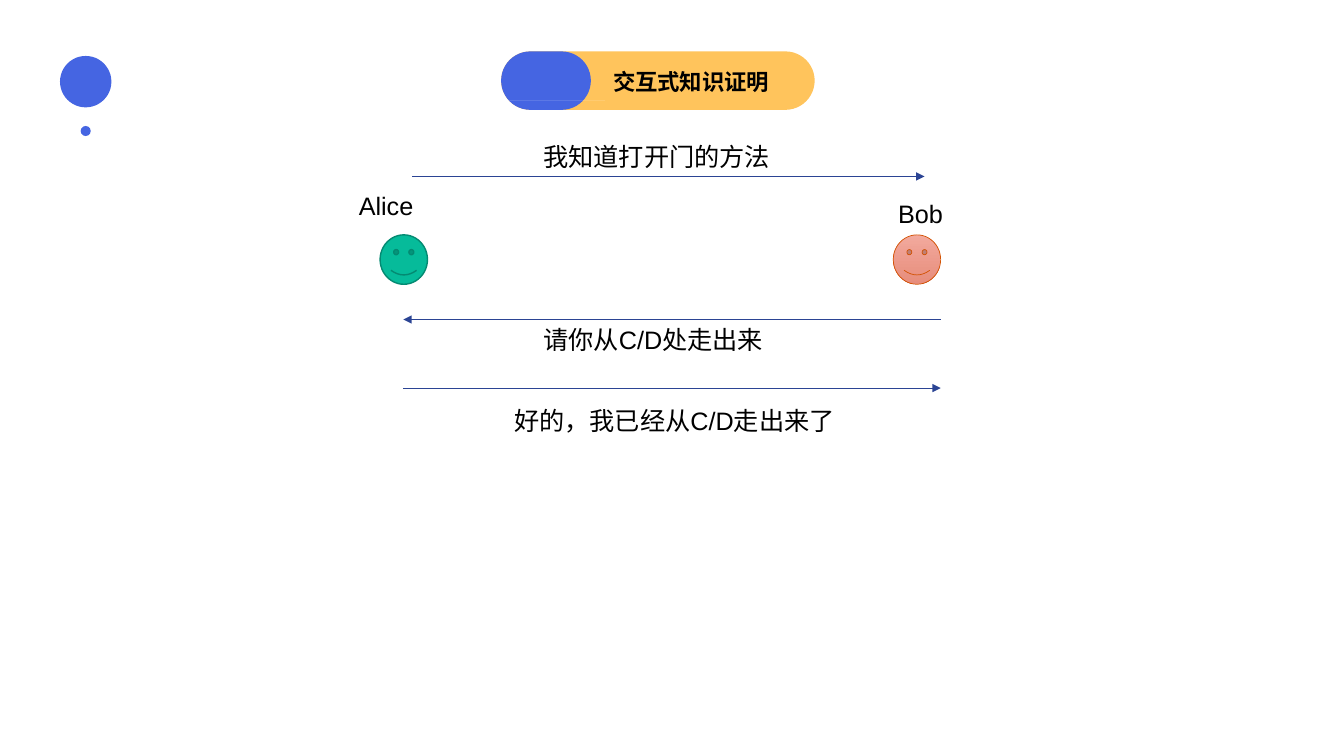
import math
from lxml import etree
from pptx import Presentation
from pptx import util as u
from pptx.dml import color
from pptx.enum import shapes, text
from pptx.oxml import ns

WIDTH, HEIGHT = 13.33, 7.5
COLORS = {
    "blue": "4565E2", "yellow": "FFC45C", "white": "FFFFFF", "ink": "000000",
    "arrow": "2B4494", "green": "06BB9A", "green_edge": "048A72",
    "pink_top": "F2A99D", "pink_bottom": "E78D7C", "orange_edge": "D35203",
}
LATIN, CHINESE = "Arial", "Noto Sans CJK SC"
TITLE = "交互式知识证明"
TITLE_BOX = (5.98, 0.62, 1.99, 0.37)
DOTS = [(0.85, 0.81, 0.51), (0.85, 1.3, 0.1)]
PILL = (4.97, 0.51, 3.11, 0.58)
PILL_CAP = 0.89
FACE_TOP, FACE_SIZE = 2.33, (0.47, 0.49)
PEOPLE = [
    {"name": "Alice", "label": (3.46, 1.84, 0.91), "face": 3.77,
     "fill": ["green"], "edge": "green_edge", "weight": 1},
    {"name": "Bob", "label": (8.81, 1.92, 0.73), "face": 8.86,
     "fill": ["pink_top", "pink_bottom"], "edge": "orange_edge", "weight": 0.5},
]
MESSAGES = [
    {"words": "我知道打开门的方法", "box": (5.29, 1.35, 2.85), "arrow": (4.09, 9.17, 1.75)},
    {"words": "请你从C/D处走出来", "box": (5.29, 3.17, 2.66), "arrow": (9.33, 4, 3.17)},
    {"words": "好的，我已经从C/D走出来了", "box": (5, 3.97, 3.44), "arrow": (4, 9.33, 3.85)},
]
LABEL_HEIGHT = 0.4
PHONE_PARTS = [
    [((5.29, 0.62, 5.51, 0.99), 0.04, 0.04),
     ((5.31, 0.63, 5.5, 0.68), 0.02, 0),
     ((5.31, 0.69, 5.5, 0.91), 0, 0),
     ((5.31, 0.93, 5.5, 0.97), 0, 0.02)],
    [((5.36, 0.66, 5.45, 0.67), 0, 0)],
    [((5.39, 0.93, 5.43, 0.97), 0.02, 0.02),
     ((5.4, 0.94, 5.42, 0.96), 0.01, 0.01)],
]

deck = Presentation()
deck.slide_width, deck.slide_height = u.Inches(WIDTH), u.Inches(HEIGHT)
page = deck.slides.add_slide(deck.slide_layouts[5])


def rgb(name):
    return color.RGBColor.from_string(COLORS[name])


def inches(*lengths):
    return [u.Inches(length) for length in lengths]


def paint(shape, fill, edge=None, weight=0):
    shape.shadow.inherit = False
    if len(fill) == 1:
        shape.fill.solid()
        shape.fill.fore_color.rgb = rgb(fill[0])
    else:
        shape.fill.gradient()
        shape.fill.gradient_angle = 270
        for stop, name in zip(shape.fill.gradient_stops, fill):
            stop.color.rgb = rgb(name)
    if edge:
        shape.line.color.rgb = rgb(edge)
        shape.line.width = u.Pt(weight)
    else:
        shape.line.fill.background()


def add_shape(kind, box, fill, edge=None, weight=0):
    shape = page.shapes.add_shape(kind, *inches(*box))
    paint(shape, fill, edge, weight)
    return shape


def write(box, words, align, **formats):
    frame = box.text_frame
    frame.word_wrap = True
    frame.auto_size = text.MSO_AUTO_SIZE.NONE
    para = frame.paragraphs[0]
    para.alignment = align
    span = para.add_run()
    span.text = words
    span.font.color.rgb = rgb("ink")
    for key, value in formats.items():
        setattr(span.font, key, value)
    east = etree.SubElement(span.font._element, ns.qn("a:ea"))
    east.set("typeface", CHINESE)


def add_label(left, top, width, words):
    box = page.shapes.add_textbox(*inches(left, top, width, LABEL_HEIGHT))
    write(box, words, text.PP_ALIGN.LEFT, size=u.Pt(18), name=LATIN)


def add_arrow(start, end, top):
    arrow = page.shapes.add_connector(
        shapes.MSO_CONNECTOR.STRAIGHT, *inches(start, top, end, top))
    arrow.line.color.rgb = rgb("arrow")
    arrow.line.width = u.Pt(0.5)
    tail = etree.SubElement(arrow.line._get_or_add_ln(), ns.qn("a:tailEnd"))
    tail.set("type", "triangle")
    etree.SubElement(arrow.element.spPr, ns.qn("a:effectLst"))


def rounded_outline(box, upper, lower):
    left, top, right, bottom = box
    corners = [(left + upper, top + upper, upper, 180),
               (right - upper, top + upper, upper, 270),
               (right - lower, bottom - lower, lower, 0),
               (left + lower, bottom - lower, lower, 90)]
    points = []
    for x, y, radius, start in corners:
        for step in range(5 if radius else 1):
            angle = math.radians(start + step * 22.5)
            points.append((x + radius * math.cos(angle), y + radius * math.sin(angle)))
    return points


def add_phone_part(outlines):
    first, *rest = [rounded_outline(*outline) for outline in outlines]
    builder = page.shapes.build_freeform(*first[0], scale=u.Inches(1))
    builder.add_line_segments(first[1:], close=True)
    for points in rest:
        builder.move_to(*points[0])
        builder.add_line_segments(points[1:], close=True)
    paint(builder.convert_to_shape(), ["white"])


for x, y, size in DOTS:
    add_shape(shapes.MSO_SHAPE.OVAL, (x - size / 2, y - size / 2, size, size), ["blue"])

left, top, width, height = PILL
for span_width, fill in [(width, "yellow"), (PILL_CAP, "blue")]:
    pill = add_shape(shapes.MSO_SHAPE.ROUNDED_RECTANGLE,
                     (left, top, span_width, height), [fill])
    pill.adjustments[0] = 0.5
for part in PHONE_PARTS:
    add_phone_part(part)

title = page.shapes.title
title.left, title.top, title.width, title.height = inches(*TITLE_BOX)
title.text_frame.vertical_anchor = text.MSO_ANCHOR.MIDDLE
write(title, TITLE, text.PP_ALIGN.JUSTIFY, size=u.Pt(16), bold=True, name=CHINESE)
title.element.getparent().append(title.element)

for person in PEOPLE:
    add_shape(shapes.MSO_SHAPE.SMILEY_FACE, (person["face"], FACE_TOP, *FACE_SIZE),
              person["fill"], person["edge"], person["weight"])
    add_label(*person["label"], person["name"])

for message in MESSAGES:
    add_arrow(*message["arrow"])
    add_label(*message["box"], message["words"])

deck.save("out.pptx")
